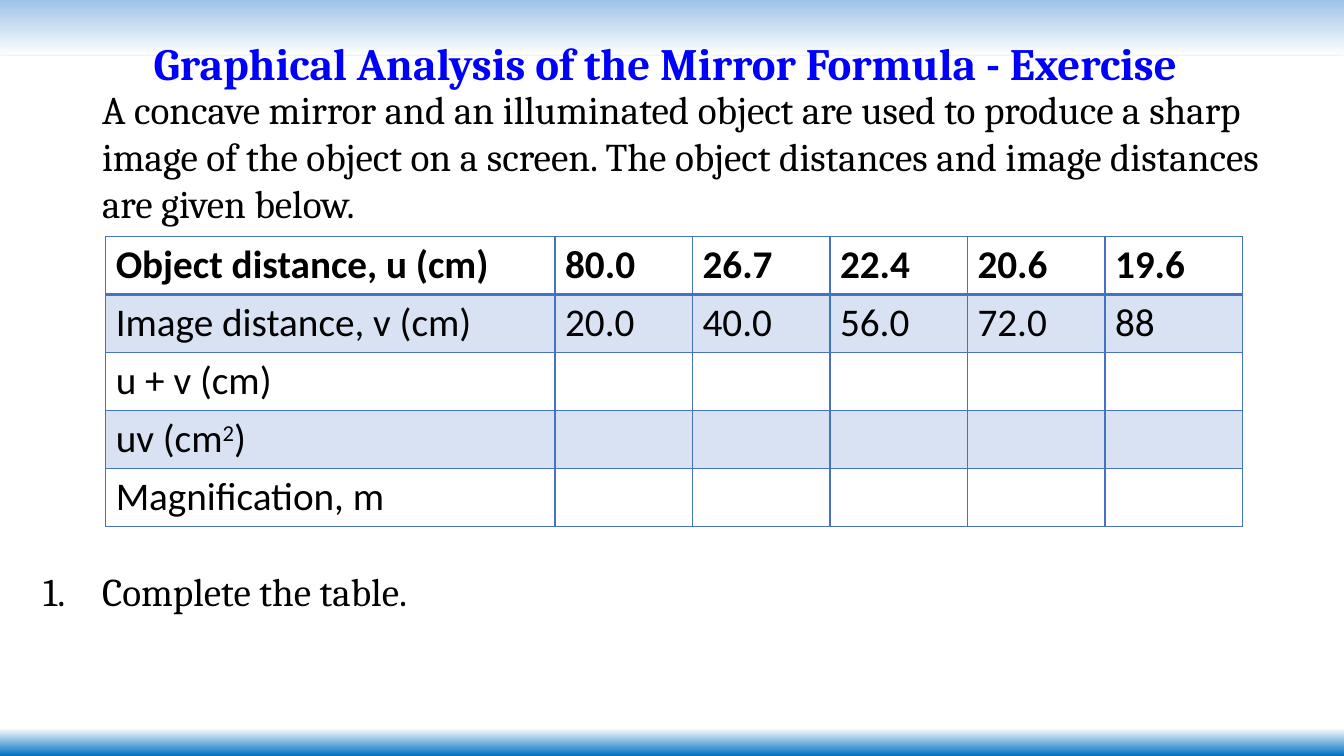
from pptx import Presentation
from pptx.dml.color import RGBColor
from pptx.enum.shapes import MSO_SHAPE as Shape
from pptx.enum.text import MSO_ANCHOR as Anchor, PP_ALIGN as Align
from pptx.oxml import parse_xml
from pptx.oxml.ns import nsdecls
from pptx.util import Pt

BLACK = RGBColor(0, 0, 0)
WHITE = RGBColor(0xFF, 0xFF, 0xFF)
TITLE_BLUE = RGBColor(0, 0, 0xFF)
SKY = RGBColor(0x9D, 0xC3, 0xE6)
DEEP_BLUE = RGBColor(0, 0x70, 0xC0)
TABLE_BLUE = RGBColor(0x44, 0x72, 0xC4)

PAGE_WIDTH, PAGE_HEIGHT = 960, 540
HANG = 42
DISTANCES = [
    ["Object distance, u (cm)", "80.0", "26.7", "22.4", "20.6", "19.6"],
    ["Image distance, v (cm)", "20.0", "40.0", "56.0", "72.0", "88"],
    ["u + v (cm)"],
    ["uv (cm^2^)"],
    ["Magnification, m"],
]


def element(markup):
    """Parse one drawing element, adding its namespace to the tag."""
    tag, rest = markup.split(" ", 1)
    return parse_xml(f"{tag} {nsdecls('a')} {rest}")


class ExercisePage:
    serif, sans = "Cambria", "Calibri"
    body_size, title_size = 28, 32

    def __init__(self, deck):
        self.page = deck.slides.add_slide(deck.slide_layouts[6])

    def style(self, para, face, size, color=BLACK, bold=False):
        font = para.font
        font.name, font.size, font.bold = face, Pt(size), bold
        font.color.rgb = color

    def band(self, top, height, stops, angle):
        """Full-width gradient panel; the angle is clockwise in degrees."""
        panel = self.page.shapes.add_shape(
            Shape.RECTANGLE, 0, Pt(top), Pt(PAGE_WIDTH), Pt(height))
        marks = "".join(f'<a:gs pos="{place * 1000}"><a:srgbClr val="{color}"/></a:gs>'
                        for place, color in stops)
        properties = panel.element.spPr
        properties.append(element(
            f'<a:gradFill rotWithShape="1"><a:gsLst>{marks}</a:gsLst>'
            f'<a:lin ang="{angle * 60000}" scaled="0"/></a:gradFill>'))
        panel.line.fill.background()
        properties.append(element(
            f'<a:effectLst ><a:outerShdw blurRad="{Pt(3.5)}" dist="{Pt(2.2)}" '
            'dir="5400000" rotWithShape="0"><a:srgbClr val="000000">'
            '<a:alpha val="32000"/></a:srgbClr></a:outerShdw></a:effectLst>'))

    def text_box(self, left, top, width, height, text, anchor=Anchor.TOP):
        box = self.page.shapes.add_textbox(Pt(left), Pt(top), Pt(width), Pt(height))
        frame = box.text_frame
        frame.word_wrap = True
        frame.vertical_anchor = anchor
        para = frame.paragraphs[0]
        para.text = text
        return para

    def title(self, text):
        para = self.text_box(52.5, 28.8, 846, 36, text, Anchor.MIDDLE)
        para.alignment = Align.CENTER
        para.line_spacing = 0.9
        self.style(para, self.serif, self.title_size, TITLE_BLUE, bold=True)

    def body(self, top, height, text):
        """Indented paragraph; a number before a tab hangs to its left."""
        para = self.text_box(23.8, top, 914.4, height, text)
        properties = para._p.get_or_add_pPr()
        properties.set("marL", str(Pt(HANG)))
        properties.set("indent", str(Pt(-HANG if "\t" in text else 0)))
        self.style(para, self.serif, self.body_size)

    def table(self, left, top, widths, row_height, rows):
        """Grid with a bold first row and every second row tinted."""
        table = self.page.shapes.add_table(
            len(rows), len(widths), Pt(left), Pt(top),
            Pt(sum(widths)), Pt(row_height * len(rows))).table
        table.first_row = table.horz_banding = False
        for column, width in zip(table.columns, widths):
            column.width = Pt(width)
        for index, texts in enumerate(rows):
            table.rows[index].height = Pt(row_height)
            for cell in table.rows[index].cells:
                self.paint(cell, index)
            for column, text in enumerate(texts):
                para = table.cell(index, column).text_frame.paragraphs[0]
                self.add_spans(para, text)
                self.style(para, self.sans, self.body_size, bold=index == 0)

    def add_spans(self, para, text):
        """Add runs, raising whatever stands between carets."""
        for position, part in enumerate(text.split("^")):
            span = para.add_run()
            span.text = part
            if position % 2:
                span.font._element.set("baseline", "30000")

    def paint(self, cell, row):
        properties = cell._tc.get_or_add_tcPr()
        if row % 2:
            cell.fill.solid()
            cell.fill.fore_color.rgb = TABLE_BLUE
            properties.find(".//{*}srgbClr").append(element('<a:alpha val="20000"/>'))
        else:
            cell.fill.background()
        thick = {(0, "B"), (1, "T")}
        for position, side in enumerate("LRTB"):
            weight = 2 if (row, side) in thick else 1
            properties.insert(position, element(
                f'<a:ln{side} w="{Pt(weight)}"><a:solidFill>'
                f'<a:srgbClr val="{TABLE_BLUE}"/></a:solidFill></a:ln{side}>'))


def main():
    deck = Presentation()
    deck.slide_width, deck.slide_height = Pt(PAGE_WIDTH), Pt(PAGE_HEIGHT)
    page = ExercisePage(deck)
    page.band(0, 500, [(0, WHITE), (92, WHITE), (100, SKY)], 270)
    page.band(40, 500, [(0, WHITE), (96, WHITE), (100, DEEP_BLUE)], 90)
    page.title("Graphical Analysis of the Mirror Formula - Exercise")
    page.body(57.6, 108, "A concave mirror and an illuminated object are used to "
              "produce a sharp image of the object on a screen. The object "
              "distances and image distances are given below.")
    page.table(75.5, 169, [321] + [98.2] * 5, 41.4, DISTANCES)
    page.body(402, 42, "1.\tComplete the table.")
    deck.save("out.pptx")


if __name__ == "__main__":
    main()
